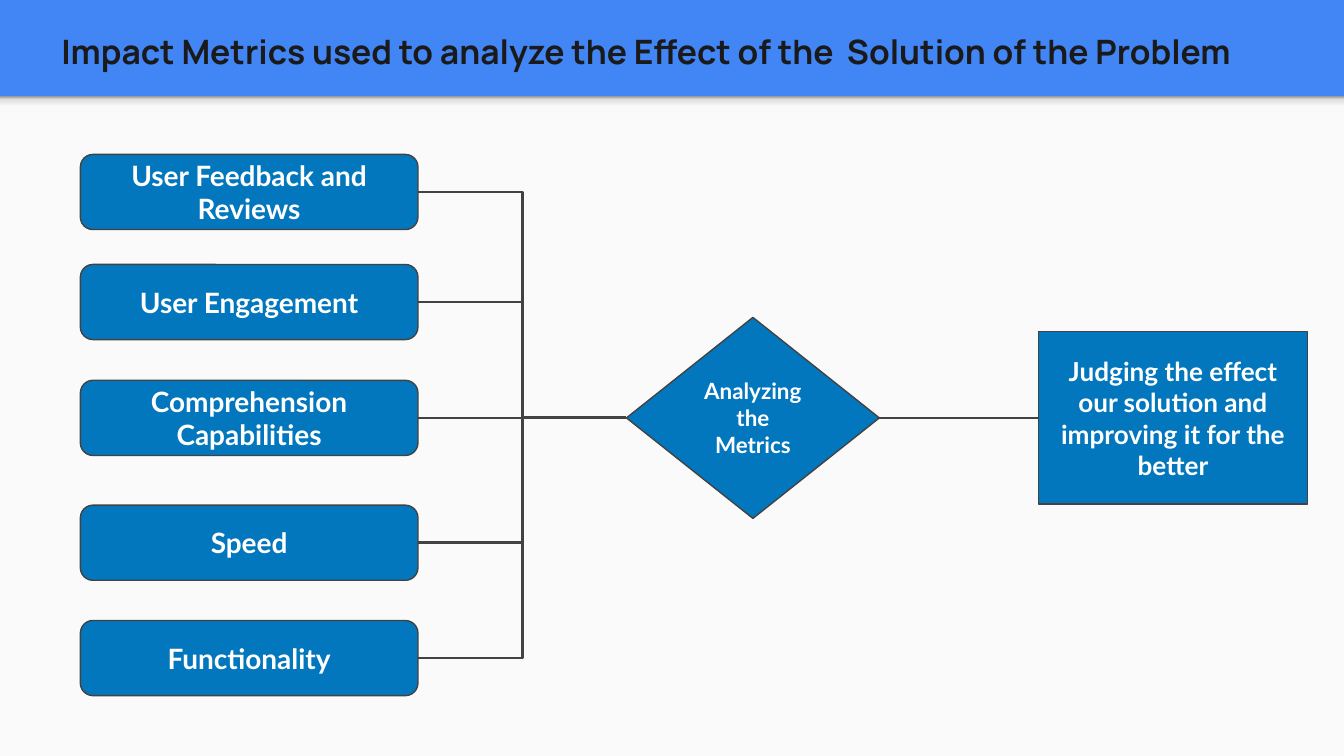
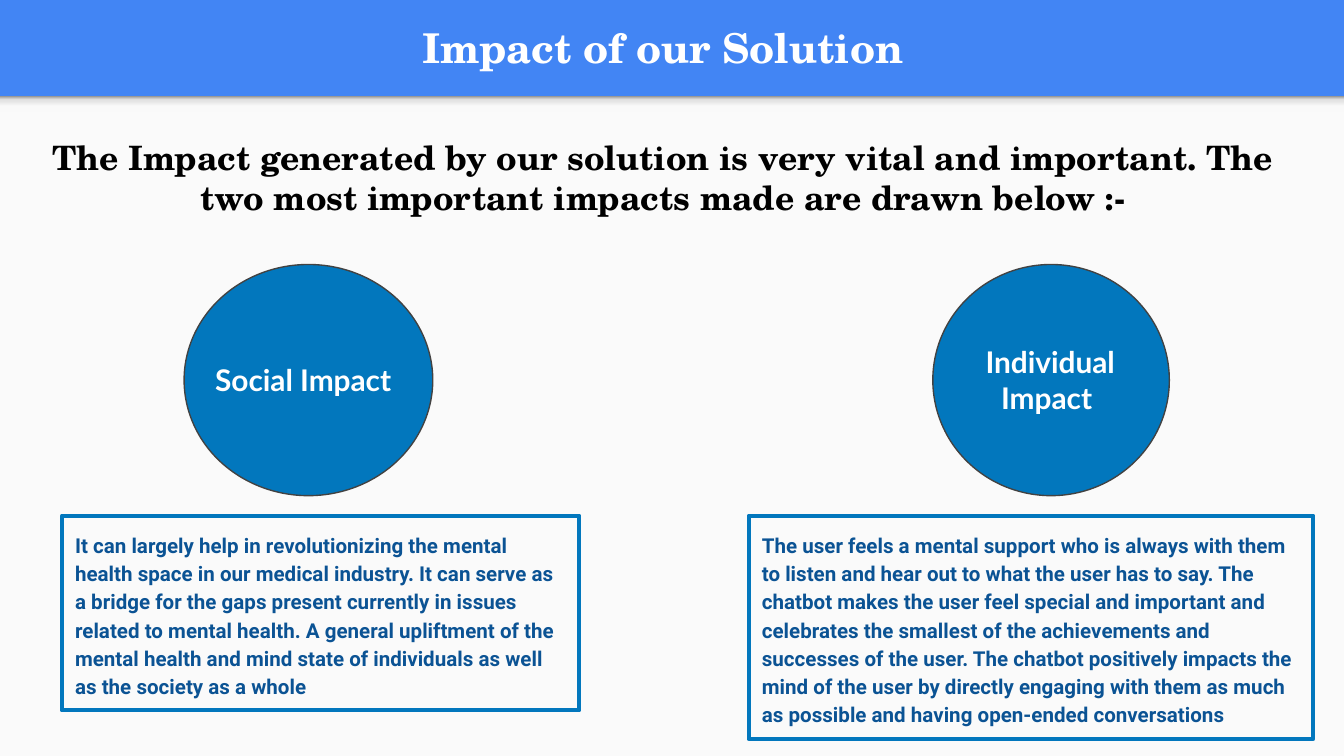
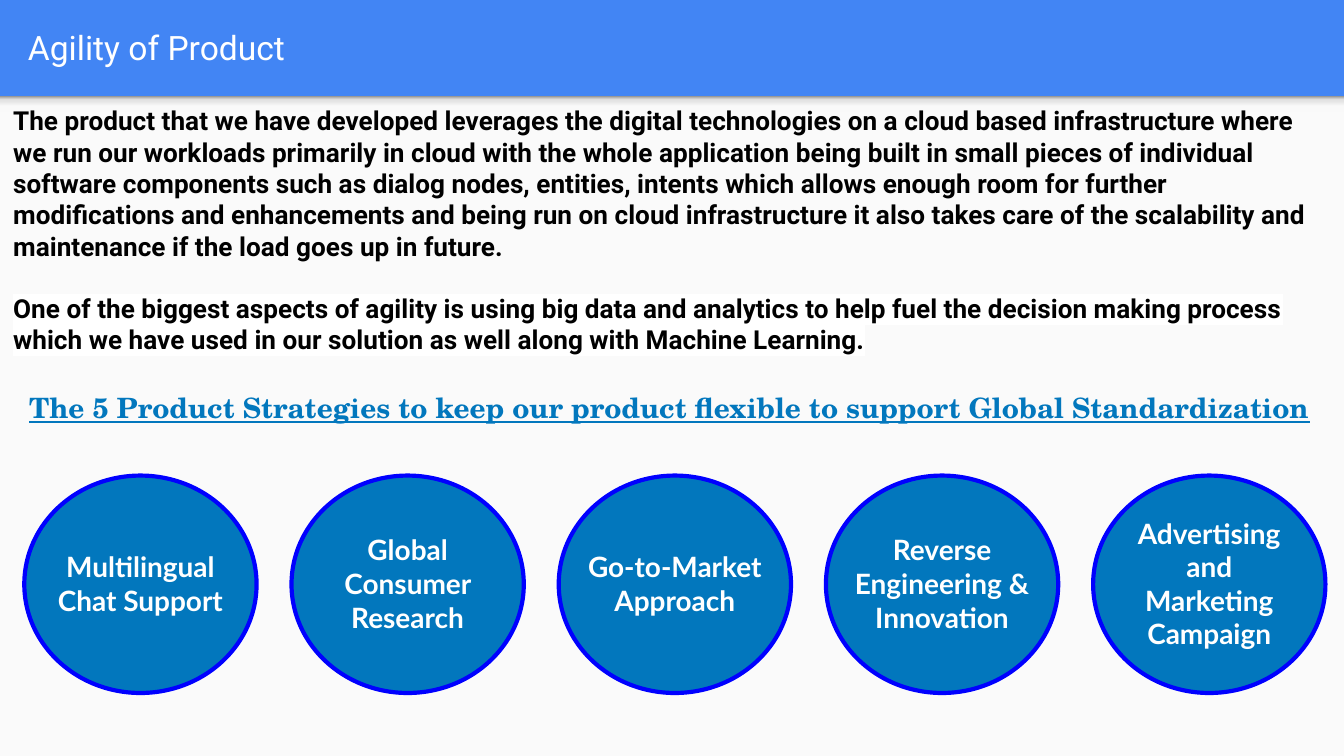
from lxml import etree
from pptx import Presentation
from pptx.dml.color import RGBColor as RGB
from pptx.enum.shapes import MSO_CONNECTOR as Link, MSO_SHAPE as Kind
from pptx.enum.text import MSO_ANCHOR as Anchor, PP_ALIGN as Align
from pptx.oxml import parse_xml
from pptx.oxml.ns import nsdecls, qn
from pptx.util import Cm, Pt

BLUE = RGB(0x42, 0x85, 0xF4)
PALE = RGB(0xFA, 0xFA, 0xFA)
DEEP = RGB(0x02, 0x77, 0xBD)
GRAY = RGB(0x42, 0x42, 0x42)
INK = RGB(0x1A, 0x1A, 0x1A)
NAVY = RGB(0x0B, 0x53, 0x94)
VIVID = RGB(0x00, 0x00, 0xFF)
WHITE = RGB(0xFF, 0xFF, 0xFF)
BLACK = RGB(0x00, 0x00, 0x00)

LATO = {"name": "Lato", "bold": True}
SERIF = {"name": "TeX Gyre Schola", "bold": True}
SANS = {"name": "Roboto", "bold": True}
PAD = Cm(0.25)
FRAME = {"word_wrap": True, "margin_left": PAD, "margin_right": PAD,
         "margin_top": PAD, "margin_bottom": PAD}


def draw(slide, kind, box, fill=None, edge=None, width=0.75):
    shape = slide.shapes.add_shape(kind, *map(Cm, box))
    shape.shadow.inherit = False
    if fill is None:
        shape.fill.background()
    else:
        shape.fill.solid()
        shape.fill.fore_color.rgb = fill
    if edge is None:
        shape.line.fill.background()
    else:
        shape.line.color.rgb = edge
        shape.line.width = Pt(width)
    return shape


def write(shape, text, look, size, tint, align=Align.CENTER, anchor=Anchor.TOP):
    frame = shape.text_frame
    for key, value in {**FRAME, "vertical_anchor": anchor}.items():
        setattr(frame, key, value)
    frame.text = text
    for para in frame.paragraphs:
        para.alignment = align
        font = para.runs[0].font
        for key, value in {**look, "size": Pt(size)}.items():
            setattr(font, key, value)
        font.color.rgb = tint
    return frame


deck = Presentation()
deck.slide_width = Cm(25.4)
deck.slide_height = Cm(14.29)

heads = [
    ("Impact Metrics used to analyze the Effect of the  Solution of the Problem",
     (0.91, 0, 23.57, 1.42), {"name": "Manrope", "bold": True}, 18, INK, Align.LEFT, Anchor.TOP),
    ("Impact of our Solution",
     (0.28, 0.05, 24.5, 1.68), SERIF, 22, WHITE, Align.CENTER, Anchor.MIDDLE),
    ("Agility of Product",
     (0.28, 0.05, 24.5, 1.68), {"name": "Roboto"}, 18, WHITE, Align.LEFT, Anchor.MIDDLE),
]
fade = [(0, "F9F9F9"), (36, "F9F9F9"), (80, "DEDEDE"), (100, "999999")]
stops = "".join(f'<a:gs pos="{pos * 1000}"><a:srgbClr val="{tone}"/></a:gs>' for pos, tone in fade)
slides = []
titles = []
for text, box, *style in heads:
    slide = deck.slides.add_slide(deck.slide_layouts[6])
    slide.background.fill.solid()
    slide.background.fill.fore_color.rgb = BLUE
    draw(slide, Kind.RECTANGLE, (0, 1.82, 25.4, 12.47), PALE)
    band = draw(slide, Kind.RECTANGLE, (0, 1.82, 25.4, 0.3), PALE)
    solid = band._element.spPr.find(qn("a:solidFill"))
    solid.addnext(parse_xml(
        f'<a:gradFill {nsdecls("a")} rotWithShape="1"><a:gsLst>{stops}</a:gsLst>'
        '<a:lin ang="16200000" scaled="0"/></a:gradFill>'))
    band._element.spPr.remove(solid)
    titles.append(write(slide.shapes.add_textbox(*map(Cm, box)), text, *style))
    slides.append(slide)
flow, impact, agile = slides
titles[0].margin_top = Cm(0.66)

metrics = [
    ("User Feedback and Reviews", 2.92),
    ("User Engagement", 5),
    ("Comprehension Capabilities", 7.19),
    ("Speed", 9.55),
    ("Functionality", 11.73),
]
gate = draw(flow, Kind.FLOWCHART_DECISION, (11.84, 6, 4.78, 3.8), DEEP, GRAY)
write(gate, "Analyzing the Metrics", LATO, 12, WHITE, anchor=Anchor.MIDDLE)
goal = draw(flow, Kind.FLOWCHART_PROCESS, (19.63, 6.27, 5.08, 3.26), DEEP, GRAY)
write(goal, "Judging the effect our solution and improving it for the better",
      LATO, 14, WHITE, anchor=Anchor.MIDDLE)
pairs = [(gate, goal)]
for text, top in metrics:
    metric = draw(flow, Kind.ROUNDED_RECTANGLE, (1.52, top, 6.38, 1.42), DEEP, GRAY)
    write(metric, text, LATO, 15, WHITE, anchor=Anchor.MIDDLE)
    pairs.append((metric, gate))
for start, end in pairs:
    level = start.top + start.height // 2 == end.top + end.height // 2
    wire = flow.shapes.add_connector(Link.STRAIGHT if level else Link.ELBOW, 0, 0, 0, 0)
    wire.begin_connect(start, 3)
    wire.end_connect(end, 1)
    wire.line.color.rgb = GRAY
    wire.line.width = Pt(1.5)
    etree.SubElement(wire._element.spPr, qn("a:effectLst"))

intro = impact.shapes.add_textbox(Cm(0.28), Cm(2.34), Cm(24.5), Cm(2.06))
write(intro, "The Impact generated by our solution is very vital and important. "
      "The two most important impacts made are drawn below :-", SERIF, 18, BLACK)
impacts = [
    ("Social Impact ", (3.48, 5, 4.7, 4.37), (3.68, 6.58, 4.24, 1.19), (1.17, 9.75, 9.78, 3.68),
     "It can largely help in revolutionizing the mental health space in our medical industry. "
     "It can serve as a bridge for the gaps present currently in issues related to mental health. "
     "A general upliftment of the mental health and mind state of individuals as well as the "
     "society as a whole"),
    ("Individual Impact ", (17.63, 5, 4.47, 4.37), (17.73, 6.25, 4.24, 1.88), (14.15, 9.75, 10.67, 4.22),
     "The user feels a mental support who is always with them to listen and hear out to what the "
     "user has to say. The chatbot makes the user feel special and important and celebrates the "
     "smallest of the achievements and successes of the user. The chatbot positively impacts the "
     "mind of the user by directly engaging with them as much as possible and having open-ended "
     "conversations"),
]
for label, disc, spot, card, text in impacts:
    draw(impact, Kind.OVAL, disc, DEEP, GRAY)
    write(impact.shapes.add_textbox(*map(Cm, spot)), label, LATO, 16, WHITE)
    panel = draw(impact, Kind.RECTANGLE, card, None, DEEP, 2.25)
    frame = write(panel, text, SANS, 11, NAVY, Align.LEFT)
    frame.paragraphs[0].line_spacing = 1.15

story = agile.shapes.add_textbox(0, Cm(1.73), Cm(25.4), Cm(5.31))
frame = write(
    story,
    "The product that we have developed leverages the digital technologies on a cloud based "
    "infrastructure where we run our workloads primarily in cloud with the whole application "
    "being built in small pieces of individual software components such as dialog nodes, "
    "entities, intents which allows enough room for further modifications and enhancements and "
    "being run on cloud infrastructure it also takes care of the scalability and maintenance if "
    "the load goes up in future.\n"
    "One of the biggest aspects of agility is using big data and analytics to help fuel the "
    "decision making process which we have used in our solution as well along with Machine "
    "Learning.", SANS, 14, BLACK, Align.LEFT)
first, last = frame.paragraphs
first.space_after = Pt(16.4)
props = last.runs[0]._r.get_or_add_rPr()
props.find(qn("a:solidFill")).addnext(parse_xml(
    f'<a:highlight {nsdecls("a")}><a:srgbClr val="FFFFFF"/></a:highlight>'))

lead = agile.shapes.add_textbox(Cm(0.3), Cm(7.14), Cm(24.8), Cm(1.14))
write(lead, "The 5 Product Strategies to keep our product flexible to support Global Standardization",
      {**SERIF, "underline": True}, 15, DEEP, Align.LEFT)
plans = [
    ("Multilingual Chat Support", 4.39, 2),
    ("Global Consumer Research", 4.39, 3),
    ("Go-to-Market Approach", 4.32, 2),
    ("Reverse Engineering & Innovation", 3.86, 3),
    ("Advertising and Marketing Campaign", 3.86, 4),
]
for i, (text, wide, rows) in enumerate(plans):
    left = 0.46 + 5.05 * i
    draw(agile, Kind.OVAL, (left, 8.99, 4.39, 4.11), DEEP, VIVID, 2.25)
    tall = 0.51 + 0.64 * rows
    spot = (left + (4.39 - wide) / 2, 11.04 - tall / 2, wide, tall)
    write(agile.shapes.add_textbox(*map(Cm, spot)), text, LATO, 15, WHITE)

deck.save("out.pptx")
